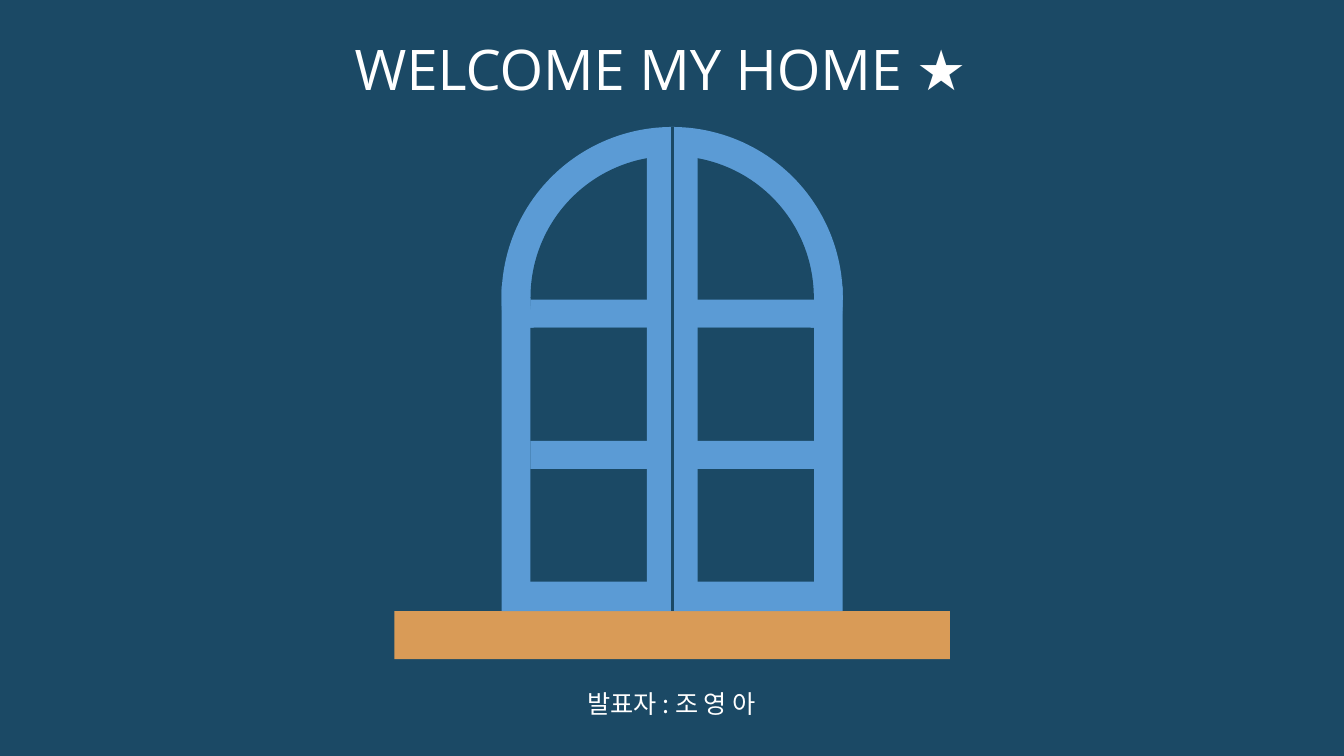
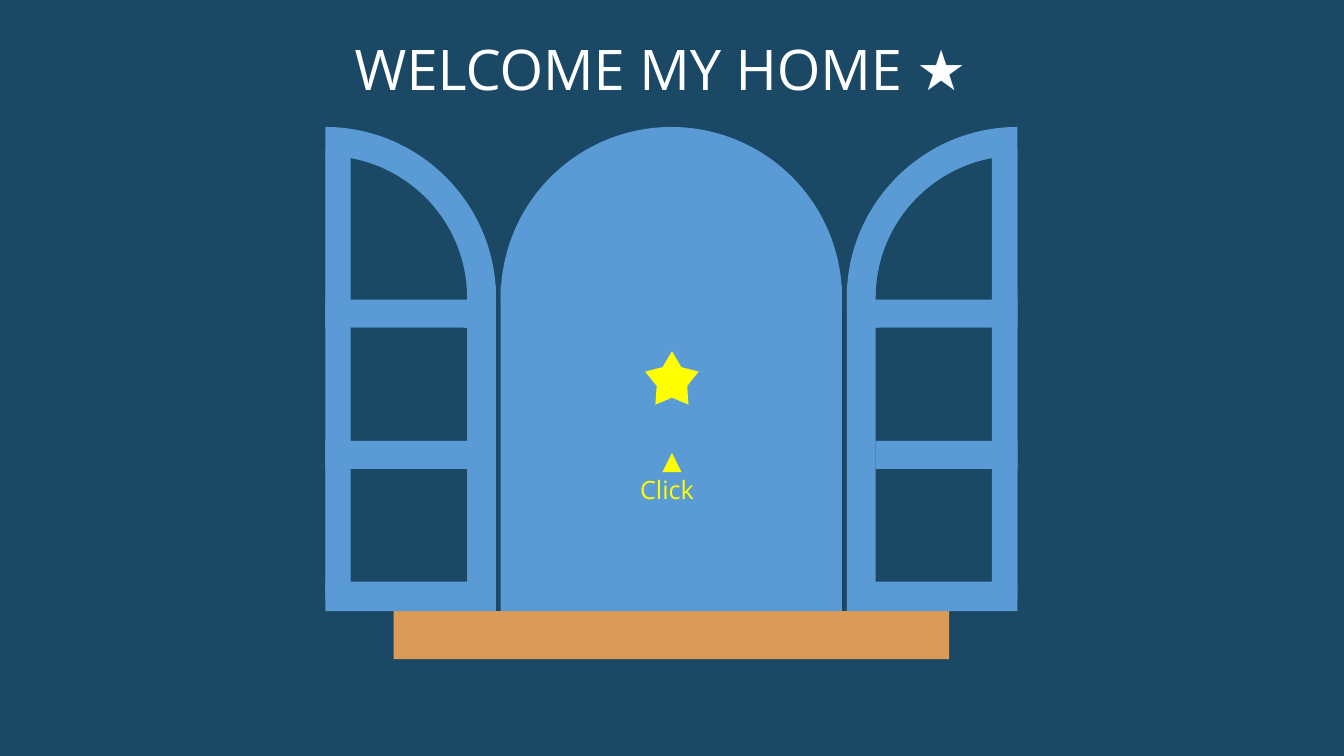
from typing import NamedTuple

from lxml.etree import SubElement
from pptx import Presentation
from pptx.dml.color import RGBColor
from pptx.enum.shapes import MSO_CONNECTOR, MSO_SHAPE
from pptx.enum.text import MSO_AUTO_SIZE, PP_ALIGN
from pptx.oxml.ns import qn
from pptx.util import Cm, Pt

NAVY = RGBColor(0x1B, 0x49, 0x65)
BLUE = RGBColor(0x5B, 0x9B, 0xD5)
WOOD = RGBColor(0xD9, 0x9B, 0x57)
WHITE = RGBColor(0xFF, 0xFF, 0xFF)
YELLOW = RGBColor(0xFF, 0xFF, 0x00)

LATIN = "Open Sans"
KOREAN = "Noto Sans CJK KR"

# Window measures, in centimetres
OUTER, INNER = 4.3, 3.57
SPRING = 7.5
TOP = SPRING - OUTER
FLOOR = 15.4
BEND = 0.55  # handle length of a quarter circle, as a share of its radius


class Box(NamedTuple):
    left: float
    top: float
    width: float
    height: float


class Band(NamedTuple):
    """A level part of a window, reaching `half` from its axis."""
    half: float
    top: float
    height: float
    color: RGBColor


class Line(NamedTuple):
    text: str
    align: PP_ALIGN = PP_ALIGN.LEFT


WALL = Band(OUTER, 7.22, FLOOR - 7.22, BLUE)
BANDS = (
    Band(INNER, 7.55, 0.71, BLUE),
    Band(INNER, 8.26, 6.4, NAVY),
    Band(INNER, 11.11, 0.71, BLUE),
    Band(0.64, 3.78, 11.3, BLUE),
)


def paint(shape, color: RGBColor) -> None:
    shape.shadow.inherit = False
    shape.fill.solid()
    shape.fill.fore_color.rgb = color
    shape.line.fill.background()


def add_form(shapes, kind: MSO_SHAPE, box: Box, color: RGBColor):
    shape = shapes.add_shape(kind, *(Cm(n) for n in box))
    paint(shape, color)
    return shape


def add_band(shapes, axis: float, side: int, band: Band) -> None:
    """Side 0 spans both sides of the axis; 1 is right only, -1 left only."""
    left = axis if side == 1 else axis - band.half
    width = band.half if side else 2 * band.half
    box = Box(left, band.top, width, band.height)
    add_form(shapes, MSO_SHAPE.RECTANGLE, box, band.color)


def round_out(shape, side: int, radius: float) -> None:
    """Turn the two straight edges of a half dome into quarter circles."""
    hinge, rim = (0, radius) if side == 1 else (radius, 0)
    reach = hinge + side * BEND * radius
    rise = BEND * radius
    upper = ((reach, 0), (rim, radius - rise), (rim, radius))
    lower = ((rim, radius + rise), (reach, 2 * radius), (hinge, 2 * radius))
    edges = list(shape._element.iter(qn("a:lnTo")))
    for edge, points in zip(edges, (upper, lower)):
        curve = edge.makeelement(qn("a:cubicBezTo"))
        for x, y in points:
            point = SubElement(curve, qn("a:pt"))
            point.set("x", str(Cm(x)))
            point.set("y", str(Cm(y)))
        edge.getparent().replace(edge, curve)


def add_dome(shapes, axis: float, side: int, radius: float, color: RGBColor) -> None:
    """Draw a full disc for side 0, else the half disc on that side."""
    if side == 0:
        box = Box(axis - radius, SPRING - radius, 2 * radius, 2 * radius)
        add_form(shapes, MSO_SHAPE.OVAL, box, color)
        return
    outline = shapes.build_freeform(Cm(axis), Cm(SPRING - radius))
    outline.add_line_segments([
        (Cm(axis + side * radius), Cm(SPRING)),
        (Cm(axis), Cm(SPRING + radius)),
    ], close=False)
    dome = outline.convert_to_shape()
    round_out(dome, side, radius)
    paint(dome, color)


def add_arch(slide, axis: float, side: int = 0):
    shapes = slide.shapes.add_group_shape().shapes
    add_dome(shapes, axis, side, OUTER, BLUE)
    add_band(shapes, axis, side, WALL)
    return shapes


def add_window(slide, axis: float, side: int = 0) -> None:
    """Draw a closed window for side 0, else one leaf as a single group."""
    arch = add_arch(slide, axis, side)
    shapes = arch if side else slide.shapes
    add_dome(shapes, axis, side, INNER, NAVY)
    for band in BANDS:
        add_band(shapes, axis, side, band)


def add_sill(slide, axis: float):
    box = Box(axis - 7, FLOOR, 14, 1.21)
    return add_form(slide.shapes, MSO_SHAPE.RECTANGLE, box, WOOD)


def add_seam(slide, axis: float, sill) -> None:
    """Draw the gap between the closed leaves."""
    seam = slide.shapes.add_connector(
        MSO_CONNECTOR.STRAIGHT, Cm(axis), Cm(TOP), Cm(axis), Cm(FLOOR))
    seam.end_connect(sill, 0)
    seam.line.color.rgb = NAVY
    seam.line.width = Pt(2.25)
    SubElement(seam._element.spPr, qn("a:effectLst"))


def add_text(shapes, box: Box, lines: list[Line], size: int,
             color: RGBColor, face: str = LATIN) -> None:
    frame = shapes.add_textbox(*(Cm(n) for n in box)).text_frame
    frame.word_wrap = False
    frame.auto_size = MSO_AUTO_SIZE.SHAPE_TO_FIT_TEXT
    for index, line in enumerate(lines):
        para = frame.add_paragraph() if index else frame.paragraphs[0]
        para.text = line.text
        para.alignment = line.align
        para.font.size = Pt(size)
        para.font.color.rgb = color
        para.font.name = face
        props = para._p.get_or_add_pPr().get_or_add_defRPr()
        SubElement(props, qn("a:ea")).set("typeface", face)


def add_page(deck):
    slide = deck.slides.add_slide(deck.slide_layouts[6])
    slide.background.fill.solid()
    slide.background.fill.fore_color.rgb = NAVY
    return slide


def add_title(slide) -> None:
    add_text(slide.shapes, Box(8.69, 0.74, 17.07, 1.96),
             [Line("WELCOME MY HOME ★")], 40, WHITE)


def draw_closed(deck) -> None:
    slide = add_page(deck)
    axis = 16.94
    sill = add_sill(slide, axis)
    add_window(slide, axis)
    add_seam(slide, axis, sill)
    add_text(slide.shapes, Box(14.22, 17.22, 5.41, 1.02),
             [Line("발표자 : 조 영 아", PP_ALIGN.CENTER)], 18, WHITE, KOREAN)
    add_title(slide)


def draw_open(deck) -> None:
    slide = add_page(deck)
    axis, swing = 16.92, 8.72
    add_sill(slide, axis)
    for side in (1, -1):
        add_window(slide, axis - side * swing, side)
    add_arch(slide, axis)
    button = slide.shapes.add_group_shape().shapes
    add_text(button, Box(15.88, 11.07, 2.11, 1.8),
             [Line("▲", PP_ALIGN.CENTER), Line("Click")], 18, YELLOW)
    star = add_form(button, MSO_SHAPE.STAR_5_POINT,
                    Box(16.26, 8.85, 1.35, 1.35), YELLOW)
    star.adjustments[0] = 0.285
    add_title(slide)


def main() -> None:
    deck = Presentation()
    deck.slide_width, deck.slide_height = Cm(33.87), Cm(19.05)
    draw_closed(deck)
    draw_open(deck)
    deck.save("out.pptx")


if __name__ == "__main__":
    main()
